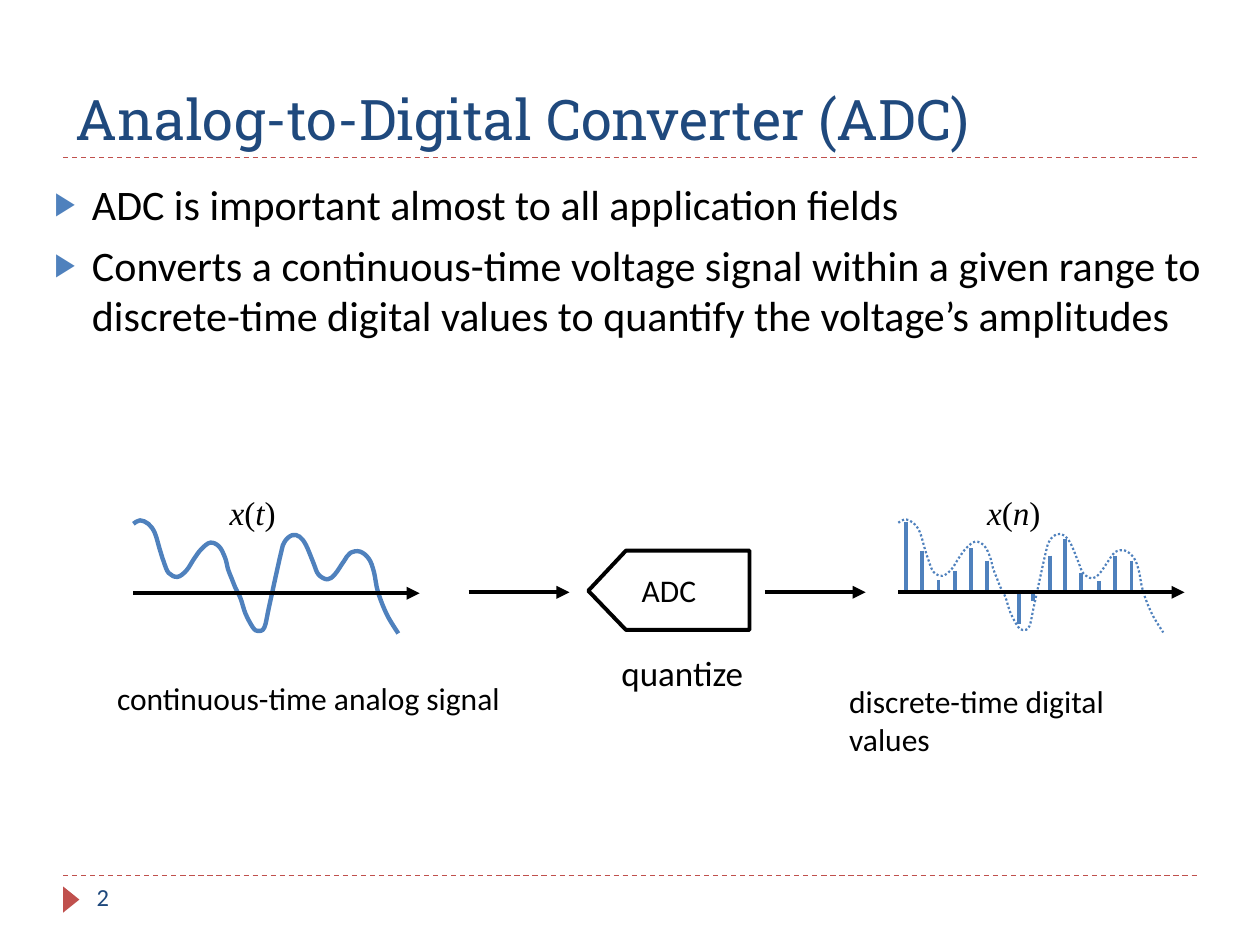
from typing import NamedTuple

from lxml.etree import SubElement
from pptx import Presentation
from pptx.dml.color import RGBColor
from pptx.enum.dml import MSO_LINE_DASH_STYLE as Dash
from pptx.enum.shapes import MSO_CONNECTOR as Conn, MSO_SHAPE as Shape
from pptx.enum.text import MSO_ANCHOR as Anchor, PP_ALIGN as Align
from pptx.oxml.ns import qn
from pptx.util import Cm, Pt

BLACK = RGBColor(0x00, 0x00, 0x00)
WHITE = RGBColor(0xFF, 0xFF, 0xFF)
NAVY = RGBColor(0x1F, 0x49, 0x7D)
BLUE = RGBColor(0x4F, 0x81, 0xBD)
RED = RGBColor(0xC0, 0x50, 0x4D)


class Line(NamedTuple):
    x1: float
    y1: float
    x2: float
    y2: float
    color: RGBColor = BLACK
    width: float = 2.5
    dash: Dash | None = None
    arrow: bool = False


class Label(NamedTuple):
    text: str
    x: float
    y: float
    w: float
    h: float
    size: float = 18
    font: str = "Calibri"
    color: RGBColor = BLACK
    align: Align = Align.LEFT
    pad: bool = True
    math: bool = False


class Plot(NamedTuple):
    x: float
    axis: float
    width: float
    dash: Dash | None = None


# Signal points in cm, measured from the start of the time axis
WAVE = [
    (0, -1.4), (.13, -1.47), (.3, -1.4), (.43, -1.22), (.53, -.89),
    (.61, -.64), (.71, -.41), (.89, -.33), (1.07, -.46), (1.22, -.69),
    (1.37, -.89), (1.55, -1.02), (1.73, -.94), (1.85, -.71), (1.91, -.48),
    (1.98, -.3), (2.06, -.1), (2.16, .1), (2.26, .41), (2.41, .69),
    (2.51, .76), (2.64, .69), (2.74, .25), (2.97, -.79), (3.05, -1.04),
    (3.2, -1.17), (3.35, -1.14), (3.48, -.97), (3.63, -.61), (3.73, -.38),
    (3.91, -.28), (4.06, -.38), (4.24, -.64), (4.37, -.81), (4.57, -.84),
    (4.75, -.69), (4.85, -.43), (4.93, -.03), (5.11, .43), (5.34, .81),
]
STEMS = [
    (.15, -1.42), (.48, -.84), (.81, -.25), (1.14, -.43), (1.47, -.89),
    (1.78, -.64), (2.44, .64), (2.72, .18), (3.05, -.74), (3.35, -1.07),
    (3.68, -.38), (4.04, -.23), (4.37, -.74), (4.7, -.64),
]
PLOTS = [Plot(2.69, 11.96, 2.5), Plot(18.11, 11.94, 1.25, Dash.ROUND_DOT)]
AXIS, GAP = 5.77, 0.04
ADC = [(15.11, 11.1), (15.11, 12.7), (12.62, 12.7), (11.86, 11.91), (12.62, 11.1)]


def write(frame, text: str, *, size: float, font: str = "Calibri",
          color: RGBColor = BLACK, align: Align = Align.LEFT,
          math: bool = False) -> None:
    """Fill a text frame, one paragraph per line; math slants the letters."""
    frame.text = ""
    for i, row in enumerate(text.split("\n")):
        para = frame.add_paragraph() if i else frame.paragraphs[0]
        para.alignment = align
        for part in row if math else [row]:
            run = para.add_run()
            run.text = part
            run.font.size, run.font.name = Pt(size), font
            run.font.color.rgb = color
            if math:
                run.font.italic = part.isalpha()


def place(shape, x: float, y: float, w: float, h: float) -> None:
    shape.left, shape.top, shape.width, shape.height = map(Cm, (x, y, w, h))


def draw(shapes, line: Line) -> None:
    conn = shapes.add_connector(Conn.STRAIGHT, *map(Cm, line[:4]))
    conn.line.color.rgb, conn.line.width = line.color, Pt(line.width)
    if line.dash:
        conn.line.dash_style = line.dash
    if line.arrow:
        SubElement(conn.line._get_or_add_ln(), qn("a:tailEnd"), type="triangle")
    SubElement(conn._element.spPr, qn("a:effectLst"))


def label(shapes, item: Label) -> None:
    box = shapes.add_textbox(*map(Cm, (item.x, item.y, item.w, item.h)))
    frame = box.text_frame
    frame.word_wrap = True
    if not item.pad:
        frame.margin_left = frame.margin_right = 0
        frame.margin_top = frame.margin_bottom = 0
    write(frame, item.text, size=item.size, font=item.font, color=item.color,
          align=item.align, math=item.math)


def bend(form) -> None:
    """Turn the straight segments of a freeform into smooth cubic curves."""
    dots = [(int(p.get("x")), int(p.get("y"))) for p in form._element.iter(qn("a:pt"))]
    ends = [dots[0], *dots, dots[-1]]
    segs = list(form._element.iter(qn("a:lnTo")))
    for seg, a, b, c, d in zip(segs, ends, ends[1:], ends[2:], ends[3:]):
        seg.tag = qn("a:cubicBezTo")
        seg.remove(seg[0])
        enter = [q + (r - p) / 6 for p, q, r in zip(a, b, c)]
        leave = [r - (s - q) / 6 for q, r, s in zip(b, c, d)]
        for x, y in (enter, leave, c):
            SubElement(seg, qn("a:pt"), x=str(round(x)), y=str(round(y)))


def outline(shapes, points: list, color: RGBColor, width: float, *, close: bool = False):
    first, *rest = [(Cm(x), Cm(y)) for x, y in points]
    pen = shapes.build_freeform(*first)
    pen.add_line_segments(rest, close=close)
    form = pen.convert_to_shape()
    form.shadow.inherit = False
    form.fill.background()
    form.line.color.rgb, form.line.width = color, Pt(width)
    return form


def bullet(para) -> None:
    para.space_before = Pt(6)
    props = para._p.get_or_add_pPr()
    props.set("marL", str(Cm(0.76)))
    props.set("indent", str(-Cm(0.76)))
    tint = SubElement(props, qn("a:buClr"))
    SubElement(tint, qn("a:srgbClr"), val=str(BLUE))
    SubElement(props, qn("a:buSzPct"), val="76000")
    SubElement(props, qn("a:buFont"), typeface="Arial")
    SubElement(props, qn("a:buChar"), char="▶")


def main() -> None:
    deck = Presentation()
    deck.slide_width, deck.slide_height = Cm(25.4), Cm(19.05)
    slide = deck.slides.add_slide(deck.slide_layouts[1])
    shapes = slide.shapes

    # Rules and page mark
    for y in (17.65, 3.18):
        draw(shapes, Line(1.27, y, 24.13, y, RED, 0.75, Dash.DASH))
    mark = shapes.add_shape(Shape.ISOSCELES_TRIANGLE, Cm(1.17), Cm(17.97), Cm(0.53), Cm(0.33))
    mark.rotation = 90
    mark.shadow.inherit = False
    mark.fill.solid()
    mark.fill.fore_color.rgb = RED
    mark.line.fill.background()

    # Title and list
    title, body = shapes.title, slide.placeholders[1]
    place(title, 1.27, 0.44, 22.86, 2.74)
    title.text_frame.vertical_anchor = Anchor.BOTTOM
    write(title.text_frame, "Analog-to-Digital Converter (ADC)", size=32,
          font="Roboto Slab", color=NAVY)
    place(body, 0.84, 3.47, 23.7, 13.72)
    write(body.text_frame, "ADC is important almost to all application fields\n"
          "Converts a continuous-time voltage signal within a given range to "
          "discrete-time digital values to quantify the voltage’s amplitudes", size=24)
    for para in body.text_frame.paragraphs:
        bullet(para)

    # Signals, samples and time axes
    for plot in PLOTS:
        points = [(plot.x + x, plot.axis + y) for x, y in WAVE]
        curve = outline(shapes, points, BLUE, plot.width)
        bend(curve)
        draw(shapes, Line(plot.x, plot.axis, plot.x + AXIS, plot.axis, arrow=True))
        if plot.dash:
            curve.line.dash_style = plot.dash
            for dx, dy in STEMS:
                x, foot = plot.x + dx, plot.axis + (GAP if dy > 0 else -GAP)
                draw(shapes, Line(x, plot.axis + dy, x, foot, BLUE, 2.25))

    # Converter and flow arrows
    for x in (9.45, 15.42):
        draw(shapes, Line(x, 11.94, x + 2.03, 11.94, arrow=True))
    adc = outline(shapes, ADC, BLACK, 2.25, close=True)
    adc.fill.solid()
    adc.fill.fore_color.rgb = WHITE
    adc.text_frame.vertical_anchor = Anchor.MIDDLE
    write(adc.text_frame, "ADC", size=18, align=Align.CENTER)

    # Labels and page number
    serif = dict(size=19, font="Times New Roman", pad=False, math=True)
    for item in (
        Label("x(t)", 4.63, 9.93, 1.17, 0.81, **serif),
        Label("x(n)", 19.9, 9.93, 1.17, 0.81, **serif),
        Label("quantize", 12.09, 13.13, 3.33, 0.86, size=20, align=Align.CENTER, pad=False),
        Label("continuous-time analog signal", 2.11, 13.56, 8.31, 1.02),
        Label("discrete-time digital values", 16.87, 13.62, 7.37, 1.02),
        Label("2", 1.7, 17.65, 5.51, 1.02, size=14, color=NAVY),
    ):
        label(shapes, item)

    deck.save("out.pptx")


if __name__ == "__main__":
    main()
